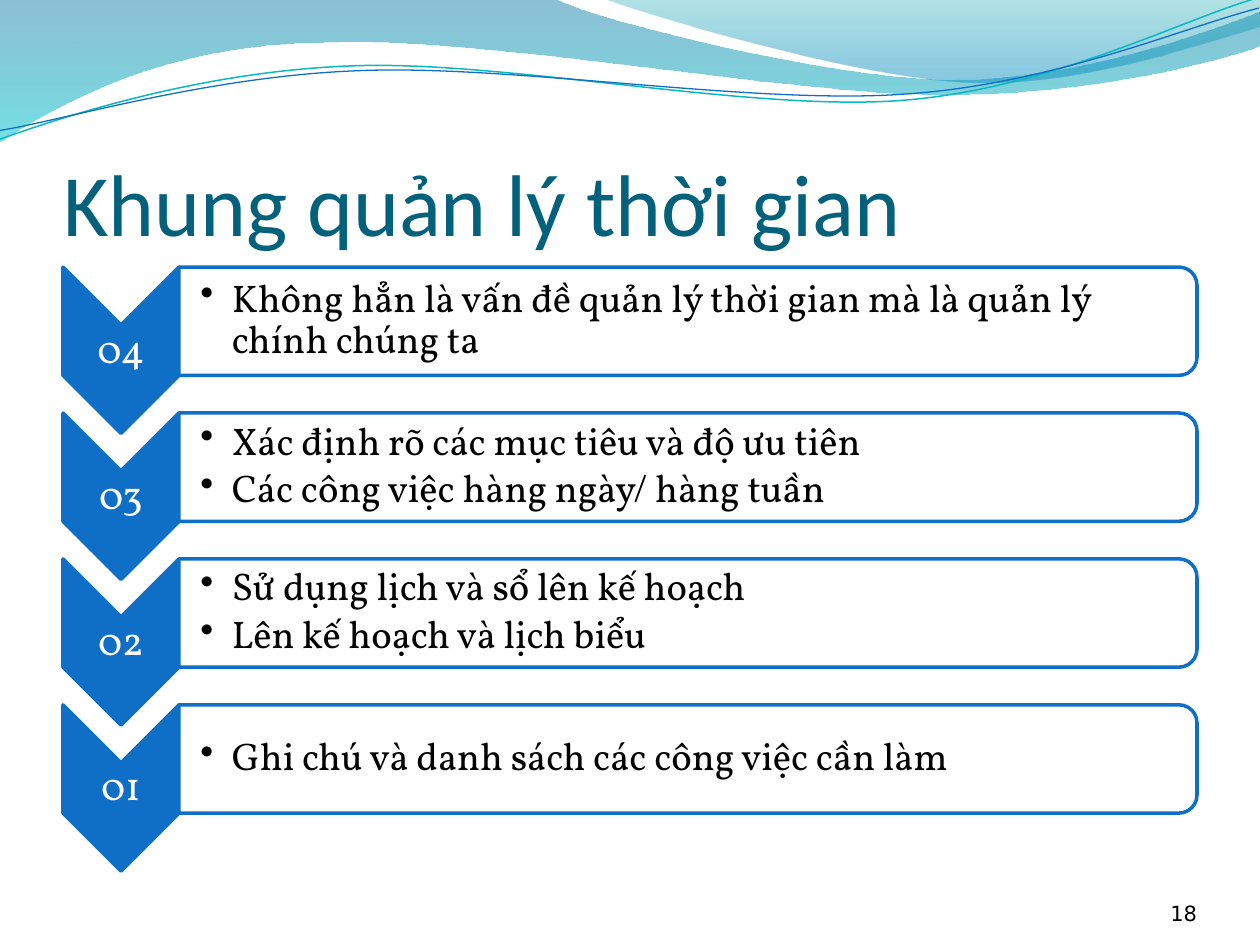
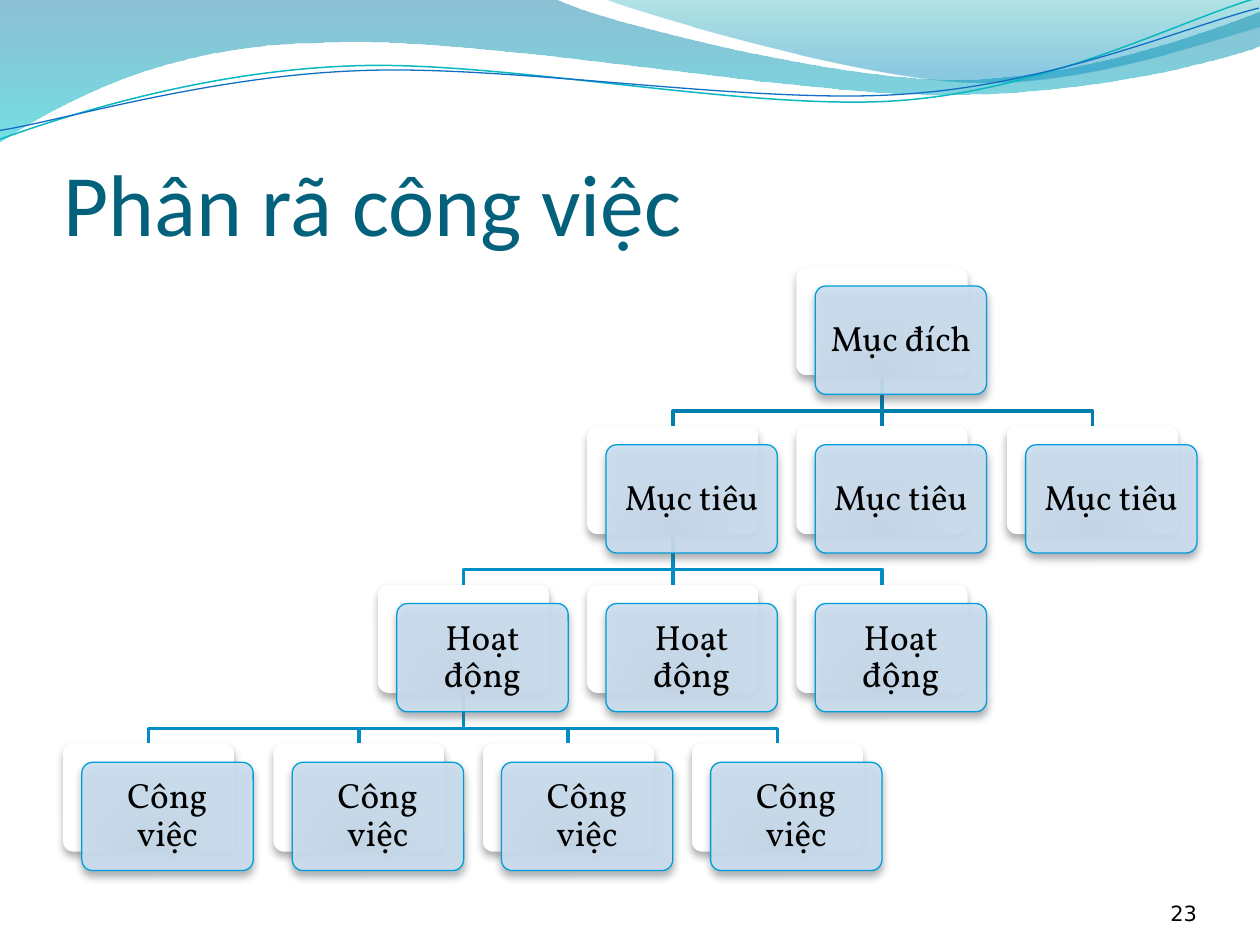
from lxml.etree import Element, SubElement
from pptx import Presentation
from pptx.dml.color import RGBColor
from pptx.enum.shapes import MSO_SHAPE as SHAPE
from pptx.enum.text import MSO_ANCHOR as ANCHOR, MSO_AUTO_SIZE as AUTOSIZE, PP_ALIGN as ALIGN
from pptx.oxml.ns import qn
from pptx.util import Pt

PX = 9144
HEX = {
    "title": "04617B", "text": "000000", "white": "FFFFFF", "gray": "8C8C8C",
    "blue": "0F6FC6", "teal": "0AB8BF",
    "wave_top": "0074A1", "wave_bottom": "00C6CF",
    "crest_top": "00A1A9", "crest_bottom": "008BBF",
    "card": "CCDFF1", "card_edge": "009DD9", "card_shadow": "474E55", "back_shadow": "5A5A5A",
    "link_top": "007EAE", "link": "008EC5",
}
COLOR = {name: RGBColor.from_string(value) for name, value in HEX.items()}


def trace(page, start, moves, closed=False):
    points = [(move[i] * PX, move[i + 1] * PX) for move in moves for i in range(0, len(move), 2)]
    builder = page.shapes.build_freeform(start[0] * PX, start[1] * PX)
    builder.add_line_segments(points, close=closed)
    shape = builder.convert_to_shape()
    shape.shadow.inherit = False
    nodes = iter(list(shape.element.iter(qn("a:lnTo"))))
    for move in moves:
        group = [next(nodes) for _ in range(len(move) // 2)]
        if len(group) == 3:
            curve = Element(qn("a:cubicBezTo"))
            group[0].addprevious(curve)
            for node in group:
                curve.append(node[0])
                node.getparent().remove(node)
    return shape


def write(frame, lines, font, size, color, align, anchor, margins):
    frame.word_wrap = True
    frame.vertical_anchor = anchor
    frame.margin_left, frame.margin_top, frame.margin_right, frame.margin_bottom = [m * PX for m in margins]
    for index, line in enumerate(lines):
        para = frame.add_paragraph() if index else frame.paragraphs[0]
        para.alignment = align
        if font == "Vollkorn":
            para.line_spacing = 0.9
        span = para.add_run()
        span.text = line
        span.font.name = font
        span.font.size = Pt(size)
        span.font.color.rgb = COLOR[color]


deck = Presentation()
deck.slide_width, deck.slide_height = 1000 * PX, 750 * PX
layout = deck.slide_layouts[5]
heading = layout.placeholders[0]
heading.left, heading.top, heading.width, heading.height = 50 * PX, 77 * PX, 900 * PX, 125 * PX
heading.text_frame.auto_size = AUTOSIZE.NONE

pages = []
for title, number in (("Khung quản lý thời gian", "18"), ("Phân rã công việc", "23")):
    page = deck.slides.add_slide(layout)
    write(page.shapes.title.text_frame, [title], "Calibri", 50, "title",
          ALIGN.LEFT, ANCHOR.BOTTOM, (0, 5, 0, 0))
    box = page.shapes.add_textbox(867 * PX, 695 * PX, 83 * PX, 40 * PX)
    write(box.text_frame, [number], "DejaVu Sans", 12, "text",
          ALIGN.RIGHT, ANCHOR.BOTTOM, (0, 0, 0, 0))
    pages.append(page)
steps_page, tree_page = pages

waves = [
    ((0, -1), [(440, -1), (476, 17, 664, 63, 758, 63), (853, 63, 958, 26, 1000, 9), (1001, 36),
               (983, 44, 870, 76, 746, 75), (622, 75, 382, 28, 257, 34), (129, 35, 46, 83, -1, 113)],
     (("wave_top", 0, 45), ("wave_bottom", 1, 55))),
    ((479, -1), [(509, 11, 682, 62, 769, 65), (856, 69, 961, 32, 1000, 21), (1000, 0)],
     (("crest_top", 0, 30), ("crest_bottom", 0.8, 45))),
]
bands = []
for start, moves, stops in waves:
    band = trace(steps_page, start, moves, closed=True)
    band.line.fill.background()
    band.fill.gradient()
    band.fill.gradient_angle = 270
    for stop, (name, position, alpha) in zip(band.fill.gradient_stops, stops):
        stop.color.rgb = COLOR[name]
        stop.position = position
    for tint, (name, position, alpha) in zip(band.element.spPr.iter(qn("a:srgbClr")), stops):
        SubElement(tint, qn("a:alpha"), val=str(alpha * 1000))
    bands.append(band)

strands = [
    ((-2, 87), [(47, 72, 158, 41, 277, 42), (396, 42, 591, 93, 712, 90), (832, 87, 940, 36, 1000, 22)], "teal", 0.85),
    ((-2, 80), [(46, 75, 164, 45, 283, 46), (403, 46, 596, 88, 716, 85), (835, 83, 942, 42, 1001, 30)], "blue", 0.75),
]
for start, moves, name, weight in strands:
    strand = trace(steps_page, start, moves)
    strand.rotation = 357.3
    strand.fill.background()
    strand.line.color.rgb = COLOR[name]
    strand.line.width = Pt(weight)
    bands.append(strand)
for index, band in enumerate(bands):
    layout.shapes.element.insert(2 + index, band.element)

steps = [
    ("04", ["Không hẳn là vấn đề quản lý thời gian mà là quản lý chính chúng ta"]),
    ("03", ["Xác định rõ các mục tiêu và độ ưu tiên", "Các công việc hàng ngày/ hàng tuần"]),
    ("02", ["Sử dụng lịch và sổ lên kế hoạch", "Lên kế hoạch và lịch biểu"]),
    ("01", ["Ghi chú và danh sách các công việc cần làm"]),
]
for row, (number, lines) in enumerate(steps):
    drop = round(row * 115.8 * PX)
    arrow = steps_page.shapes.add_shape(SHAPE.CHEVRON, 30 * PX, 232 * PX + drop, 132 * PX, 92 * PX)
    panel = steps_page.shapes.add_shape(
        SHAPE.ROUND_2_SAME_RECTANGLE, 503 * PX, drop - 149 * PX, 86 * PX, 808 * PX)
    for shape, name in ((arrow, "blue"), (panel, "white")):
        shape.rotation = 90
        shape.shadow.inherit = False
        shape.fill.solid()
        shape.fill.fore_color.rgb = COLOR[name]
        shape.line.color.rgb = COLOR["blue"]
        shape.line.width = Pt(2)
    SubElement(next(panel.element.spPr.iter(qn("a:srgbClr"))), qn("a:alpha"), val="90000")

    box = steps_page.shapes.add_textbox(50 * PX, 258 * PX + drop, 92 * PX, 40 * PX)
    write(box.text_frame, [number], "Vollkorn", 23, "white", ALIGN.CENTER, ANCHOR.MIDDLE, (2, 2, 2, 2))
    box = steps_page.shapes.add_textbox(142 * PX, 216 * PX + drop, 803 * PX, 77 * PX)
    write(box.text_frame, lines, "Vollkorn", 22, "text", ALIGN.LEFT, ANCHOR.MIDDLE, (17, 2, 2, 2))
    for para in box.text_frame.paragraphs:
        para.level = 1
        para.space_after = Pt(3.6)
        props = para._p.get_or_add_pPr()
        props.set("marL", str(25 * PX))
        props.set("indent", str(-25 * PX))
        SubElement(props, qn("a:buChar"), char="••")

CARD_W, CARD_H, LEVEL_H, HALF_COLUMN = 136, 86, 126, 83.15
levels = [
    ("Mục đích", [7]),
    ("Mục tiêu", [5, 7, 9]),
    ("Hoạt động", [3, 5, 7]),
    ("Công việc", [0, 2, 4, 6]),
]
tree = [(label, 212 + LEVEL_H * depth, [round(50.3 + HALF_COLUMN * column) for column in columns])
        for depth, (label, columns) in enumerate(levels)]

for depth, (parent, child) in enumerate(zip(tree, tree[1:])):
    x = parent[2][0] + CARD_W // 2
    top, bottom = parent[1] + CARD_H + 1, child[1]
    for left in child[2]:
        end = left + CARD_W // 2
        if end == x:
            link = trace(tree_page, (x - 5, top), [(x + 5, bottom)])
            for point in link.element.iter(qn("a:pt")):
                point.set("x", str(5 * PX))
        else:
            link = trace(tree_page, (x, top), [(x, top + 27), (end, top + 27), (end, bottom)])
        link.fill.background()
        link.line.color.rgb = COLOR["link" if depth else "link_top"]
        link.line.width = Pt(2)

for label, top, lefts in tree:
    for left in lefts:
        back, card = [tree_page.shapes.add_shape(
            SHAPE.ROUNDED_RECTANGLE, (left + shift) * PX, (top + shift) * PX, CARD_W * PX, CARD_H * PX)
            for shift in (0, 15)]
        back.fill.gradient()
        for stop, name, position in zip(back.fill.gradient_stops, ("gray", "white"), (0, 0.68)):
            stop.color.rgb = COLOR[name]
            stop.position = position
        linear = next(back.element.spPr.iter(qn("a:lin")))
        radial = Element(qn("a:path"), path="circle")
        SubElement(radial, qn("a:fillToRect"), l="50000", t="130000", r="50000", b="-30000")
        linear.getparent().replace(linear, radial)
        back.line.fill.background()
        card.fill.solid()
        card.fill.fore_color.rgb = COLOR["card"]
        SubElement(next(card.element.spPr.iter(qn("a:srgbClr"))), qn("a:alpha"), val="90000")
        card.line.color.rgb = COLOR["card_edge"]
        card.line.width = Pt(0.75)
        for shape, shade in ((back, "back_shadow"), (card, "card_shadow")):
            shape.adjustments[0] = 0.1
            shape.shadow.inherit = False
            shadow = SubElement(shape.element.spPr.find(qn("a:effectLst")), qn("a:outerShdw"),
                                blurRad=str(Pt(4.5)), dist=str(Pt(3)), dir="5400000", rotWithShape="0")
            tint = SubElement(shadow, qn("a:srgbClr"), val=HEX[shade])
            SubElement(tint, qn("a:alpha"), val="48000")
        write(card.text_frame, [label], "Vollkorn", 20, "text", ALIGN.CENTER, ANCHOR.MIDDLE, (8, 8, 8, 8))

deck.save("out.pptx")
